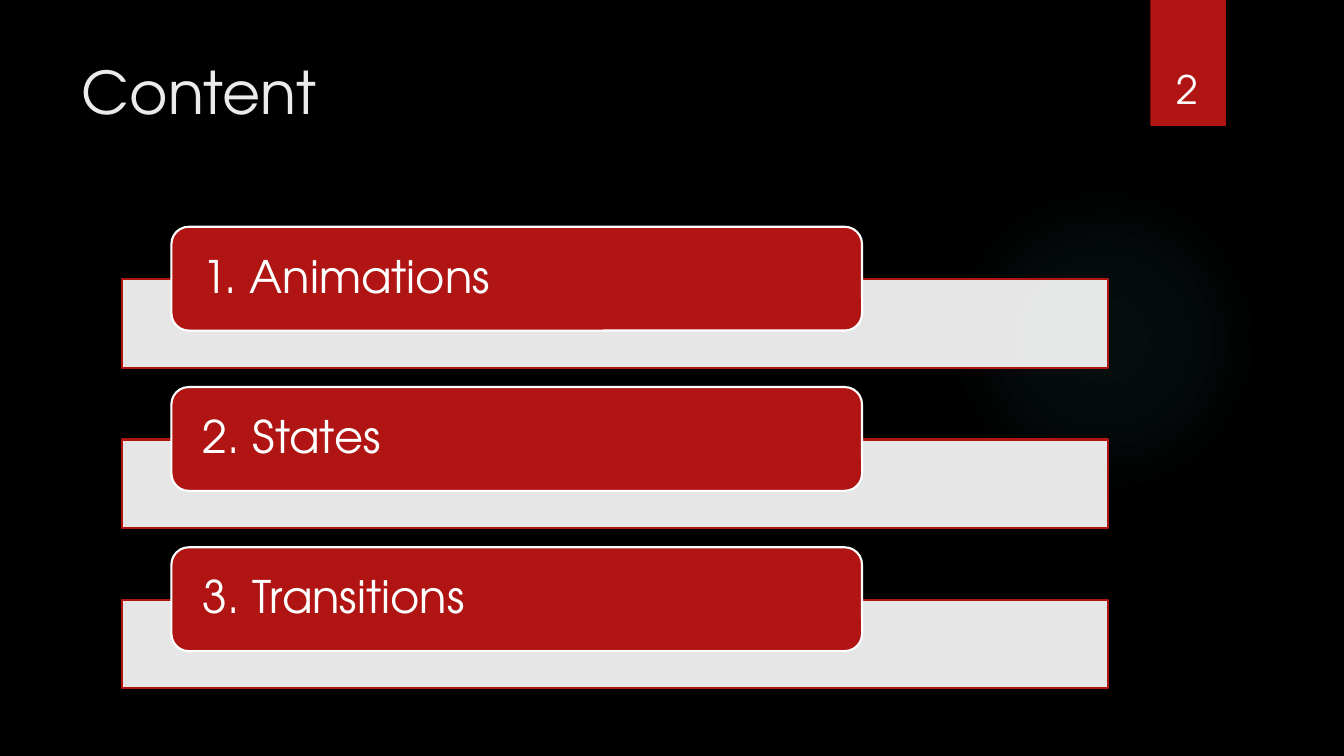
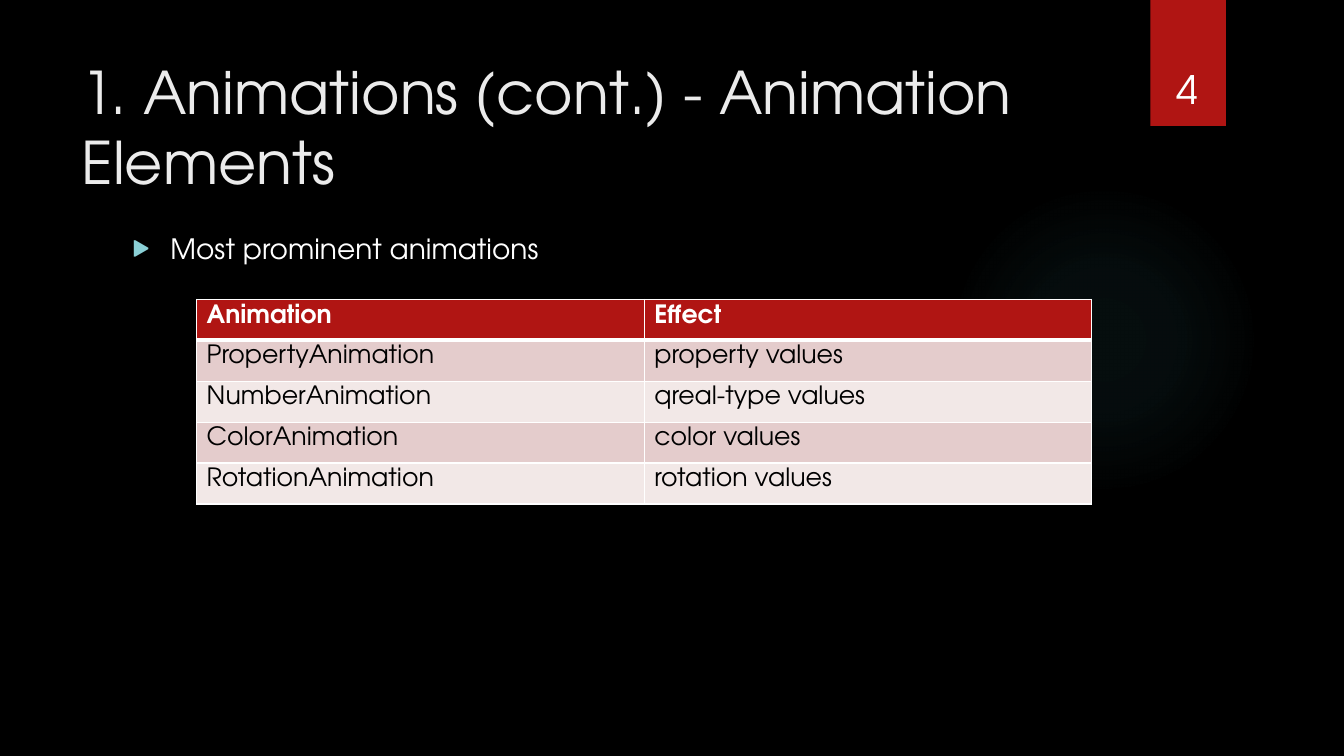
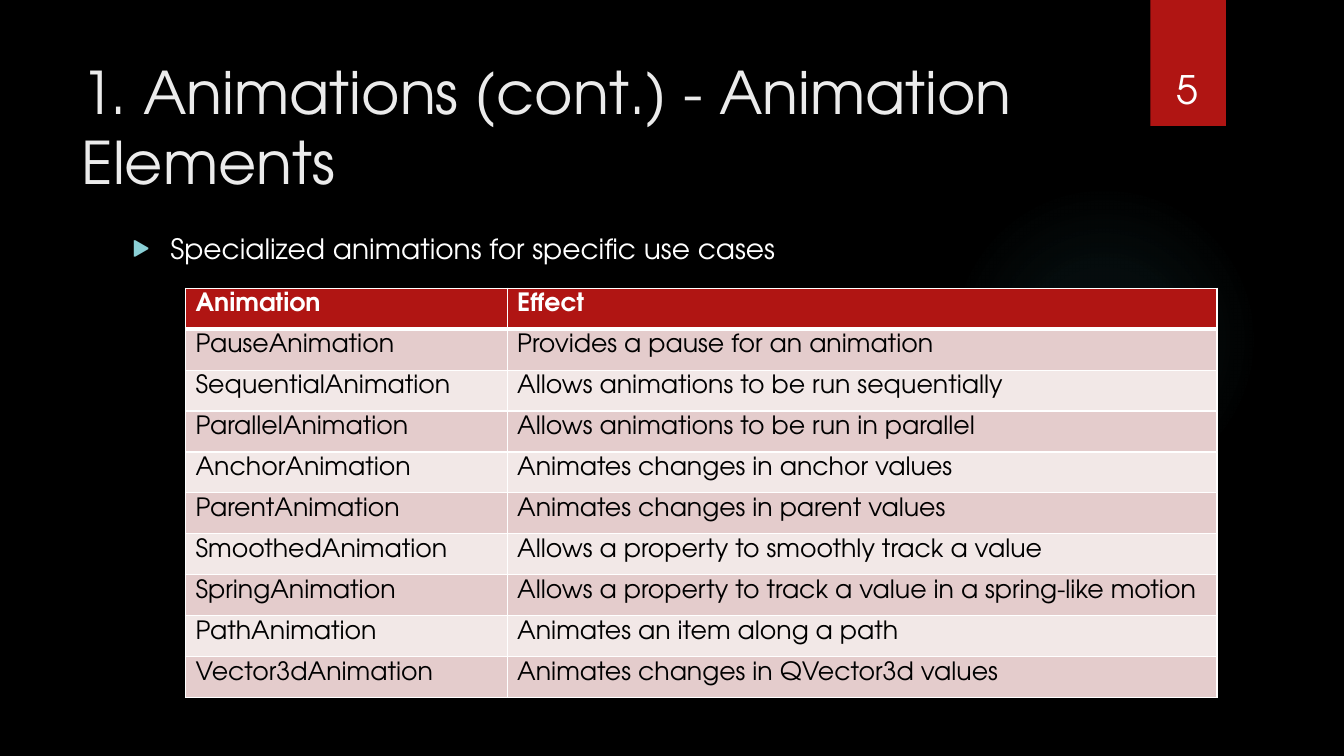
import pptx
import pptx.util
import pptx.dml.color
import pptx.enum.shapes
import pptx.enum.text
import pptx.oxml
import pptx.oxml.ns

Inches, Pt = pptx.util.Inches, pptx.util.Pt
SHAPE = pptx.enum.shapes.MSO_SHAPE
PH = pptx.enum.shapes.PP_PLACEHOLDER
ALIGN = pptx.enum.text.PP_ALIGN
ANCHOR = pptx.enum.text.MSO_ANCHOR
qn = pptx.oxml.ns.qn
NS = pptx.oxml.ns.nsdecls("a")

# Content
TOPICS = ["1. Animations", "2. States", "3. Transitions"]
HEADER = ("Animation", "Effect")
ELEMENTS_TITLE = "1. Animations (cont.) - Animation Elements"
TABLE_SLIDES = [
    dict(number=4, lead="Most prominent animations",
         at=(1.95, 2.97), cols=(4.44, 4.44), rows=[
             ("PropertyAnimation", "property values"),
             ("NumberAnimation", "qreal-type values"),
             ("ColorAnimation", "color values"),
             ("RotationAnimation", "rotation values")]),
    dict(number=5, lead="Specialized animations for specific use cases",
         at=(1.84, 2.86), cols=(3.19, 7.04), rows=[
             ("PauseAnimation", "Provides a pause for an animation"),
             ("SequentialAnimation", "Allows animations to be run sequentially"),
             ("ParallelAnimation", "Allows animations to be run in parallel"),
             ("AnchorAnimation", "Animates changes in anchor values"),
             ("ParentAnimation", "Animates changes in parent values"),
             ("SmoothedAnimation", "Allows a property to smoothly track a value"),
             ("SpringAnimation", "Allows a property to track a value in a spring-like motion"),
             ("PathAnimation", "Animates an item along a path"),
             ("Vector3dAnimation", "Animates changes in QVector3d values")]),
]

# Shared style
FONT = "TeX Gyre Adventor"
COLORS = dict(back="000000", accent="B01513", title="EBEBEB", white="FFFFFF",
              glow="50B9C1", bullet="8AD0D6", odd="E4CCCC", even="F2E8E7")
TITLE_BOX = (0.71, 0.5, 10.29, 1.53)
BODY_BOX = (1.21, 2.25, 9.78, 4.59)
GLOW_BOX = (9.41, 1.83, 3.08, 3.08)
TAB_BOX = (11.41, 0, 0.75, 1.25)
NUMBER_BOX = (11.32, 0.32, 0.92, 0.84)
GLOW_STOPS = [(0, 7), (36, 6), (69, 0)]  # position and opacity, percent
TOPIC_PITCH = 1.59
ROW_HEIGHT = 0.406


def rgb(name):
    return pptx.dml.color.RGBColor.from_string(COLORS[name])


def place(sp, box):
    sp.left, sp.top, sp.width, sp.height = map(Inches, box)


def write(tf, text, size, color, bold=False, align=ALIGN.LEFT):
    tf.text = text
    p = tf.paragraphs[0]
    p.alignment = align
    font = p.runs[0].font
    font.name, font.size, font.bold = FONT, Pt(size), bold
    font.color.rgb = rgb(color)
    return p


def add_block(slide, kind, box, fill, line=None):
    sp = slide.shapes.add_shape(kind, *map(Inches, box))
    sp.shadow.inherit = False
    sp.fill.solid()
    sp.fill.fore_color.rgb = rgb(fill)
    if line:
        sp.line.color.rgb = rgb(line)
        sp.line.width = Pt(1.5)
    else:
        sp.line.fill.background()
    return sp


def set_alpha(sp, percent):
    color = sp.element.spPr.find(qn("a:solidFill"))[0]
    color.append(pptx.oxml.parse_xml(f'<a:alpha {NS} val="{percent * 1000}"/>'))


def style_master(master, slide):
    """Background, placeholder boxes, glow and number tab for every slide."""
    master.background.fill.solid()
    master.background.fill.fore_color.rgb = rgb("back")
    boxes = {PH.TITLE: TITLE_BOX, PH.BODY: BODY_BOX}
    for sp in master.placeholders:
        if sp.placeholder_format.type in boxes:
            place(sp, boxes[sp.placeholder_format.type])
            sp.text_frame.vertical_anchor = ANCHOR.TOP
            sp.text_frame.auto_size = pptx.enum.text.MSO_AUTO_SIZE.NONE

    glow = add_block(slide, SHAPE.OVAL, GLOW_BOX, "glow")
    stops = "".join(
        f'<a:gs pos="{pos * 1000}"><a:srgbClr val="{COLORS["glow"]}">'
        f'<a:alpha val="{alpha * 1000}"/></a:srgbClr></a:gs>'
        for pos, alpha in GLOW_STOPS)
    gradient = pptx.oxml.parse_xml(
        f'<a:gradFill {NS}><a:gsLst>{stops}</a:gsLst><a:path path="circle">'
        '<a:fillToRect l="50000" t="50000" r="50000" b="50000"/></a:path></a:gradFill>')
    spPr = glow.element.spPr
    spPr.replace(spPr.find(qn("a:solidFill")), gradient)
    tab = add_block(slide, SHAPE.RECTANGLE, TAB_BOX, "accent")
    for i, sp in enumerate((glow, tab)):
        sp.element.nvSpPr.cNvPr.set("id", str(100 + i))
        master.shapes.element.insert(2 + i, sp.element)


def add_heading(slide, title, number):
    write(slide.shapes.title.text_frame, title, 42, "title")
    tf = slide.shapes.add_textbox(*map(Inches, NUMBER_BOX)).text_frame
    tf.word_wrap = True
    tf.vertical_anchor = ANCHOR.BOTTOM
    write(tf, str(number), 28, "white", align=ALIGN.CENTER)


def add_topics(slide):
    for i, topic in enumerate(TOPICS):
        top = 2.25 + i * TOPIC_PITCH
        bar = add_block(slide, SHAPE.RECTANGLE, (1.21, top + 0.52, 9.78, 0.88),
                        "white", "accent")
        set_alpha(bar, 90)
        card = add_block(slide, SHAPE.ROUNDED_RECTANGLE, (1.7, top, 6.85, 1.03),
                         "accent", "white")
        tf = card.text_frame
        tf.margin_left = tf.margin_right = Inches(0.26)
        tf.margin_top = tf.margin_bottom = 0
        tf.vertical_anchor = ANCHOR.MIDDLE
        write(tf, topic, 32, "white").line_spacing = 0.9


def add_lead(slide, text):
    p = write(slide.placeholders[1].text_frame, text, 20, "white")
    p.space_before = Pt(10)
    pPr = p.runs[0].font._element.getparent().getparent().get_or_add_pPr()
    pPr.set("marL", str(Inches(0.38)))
    pPr.set("indent", str(-Inches(0.38)))
    for xml in (f'<a:buClr {NS}><a:srgbClr val="{COLORS["bullet"]}"/></a:buClr>',
                f'<a:buSzPct {NS} val="80000"/>',
                f'<a:buFont {NS} typeface="{FONT}"/>',
                f'<a:buChar {NS} char="▶"/>'):
        pPr.append(pptx.oxml.parse_xml(xml))


def set_borders(cell, widths):
    tcPr = cell._tc.get_or_add_tcPr()
    for i, (side, width) in enumerate(widths.items()):
        tcPr.insert(i, pptx.oxml.parse_xml(
            f'<a:ln{side} {NS} w="{Pt(width)}"><a:solidFill>'
            f'<a:srgbClr val="{COLORS["white"]}"/></a:solidFill></a:ln{side}>'))


def add_grid(slide, at, cols, rows):
    rows = [HEADER] + rows
    size = (sum(cols), ROW_HEIGHT * len(rows))
    table = slide.shapes.add_table(len(rows), len(cols), *map(Inches, at + size)).table
    for c, width in enumerate(cols):
        table.columns[c].width = Inches(width)
    for r, texts in enumerate(rows):
        table.rows[r].height = Inches(ROW_HEIGHT)
        head = r == 0
        fill = "accent" if head else "odd" if r % 2 else "even"
        for c, text in enumerate(texts):
            cell = table.cell(r, c)
            write(cell.text_frame, text, 18, "white" if head else "back", bold=head)
            cell.fill.solid()
            cell.fill.fore_color.rgb = rgb(fill)
            set_borders(cell, dict(L=1, R=1, T=3 if r == 1 else 1, B=3 if head else 1))


def main():
    prs = pptx.Presentation()
    prs.slide_width, prs.slide_height = Inches(13.33), Inches(7.5)
    list_layout, title_layout = prs.slide_layouts[1], prs.slide_layouts[5]

    # Contents
    slide = prs.slides.add_slide(title_layout)
    style_master(prs.slide_master, slide)
    add_heading(slide, "Content", 2)
    add_topics(slide)

    # Animation elements
    for page in TABLE_SLIDES:
        slide = prs.slides.add_slide(list_layout)
        add_heading(slide, ELEMENTS_TITLE, page["number"])
        add_lead(slide, page["lead"])
        add_grid(slide, page["at"], page["cols"], page["rows"])

    prs.save("out.pptx")


if __name__ == "__main__":
    main()
